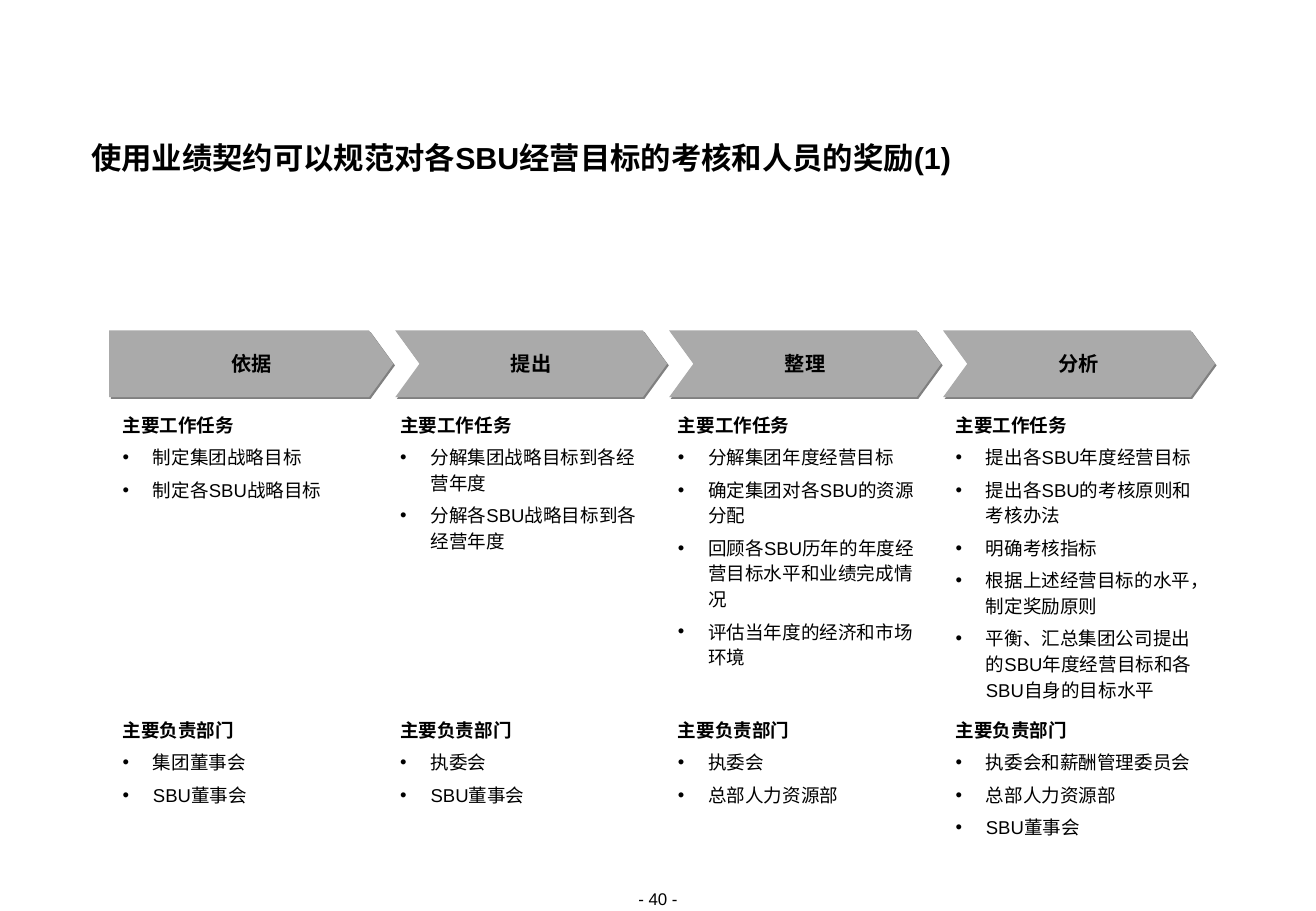
from lxml import etree
from pptx import Presentation, util as u
from pptx.dml.color import RGBColor
from pptx.enum import text as t
from pptx.oxml.ns import qn

TITLE = "使用业绩契约可以规范对各SBU经营目标的考核和人员的奖励(1)"
PAGE = "- 40 -"
TASKS, UNITS = "主要工作任务", "主要负责部门"
STEPS = [
    ("依据",
     ["制定集团战略目标", "制定各SBU战略目标"],
     ["集团董事会", "SBU董事会"]),
    ("提出",
     ["分解集团战略目标到各经营年度", "分解各SBU战略目标到各经营年度"],
     ["执委会", "SBU董事会"]),
    ("整理",
     ["分解集团年度经营目标", "确定集团对各SBU的资源分配",
      "回顾各SBU历年的年度经营目标水平和业绩完成情况",
      "评估当年度的经济和市场环境"],
     ["执委会", "总部人力资源部"]),
    ("分析",
     ["提出各SBU年度经营目标", "提出各SBU的考核原则和考核办法",
      "明确考核指标", "根据上述经营目标的水平，制定奖励原则",
      "平衡、汇总集团公司提出的SBU年度经营目标和各SBU自身的目标水平"],
     ["执委会和薪酬管理委员会", "总部人力资源部", "SBU董事会"]),
]

BLACK = RGBColor(0, 0, 0)
GRAY = RGBColor(0xAA, 0xAA, 0xAA)
SHADE = RGBColor(0x80, 0x80, 0x80)

WIDE, HIGH = 10.84, 7.5
ARROW = {"left": 1.0, "pitch": 2.256, "wide": 2.24, "top": 2.72, "high": 0.55, "tip": 0.2}
LIST = {"left": 1.01, "pitch": 2.287, "wide": 2.08, "high": 0.75}
ROWS = (3.38, 5.89)
INDENT = 0.25

FIT = t.MSO_AUTO_SIZE.SHAPE_TO_FIT_TEXT
FRAME = {"margin_left": 0, "margin_right": 0, "margin_top": 0, "margin_bottom": 0,
         "word_wrap": True, "auto_size": FIT, "vertical_anchor": t.MSO_ANCHOR.TOP}
LEFT, MID = t.PP_ALIGN.LEFT, t.PP_ALIGN.CENTER


def put(obj, vals):
    for key, val in vals.items():
        setattr(obj, key, val)


def place(shape, left, top, wide, high):
    put(shape, dict(zip(("left", "top", "width", "height"),
                        map(u.Inches, (left, top, wide, high)))))


def write(para, words, size, bold=False, **form):
    para.text = words
    put(para, form)
    put(para.font, {"name": "Arial", "size": u.Pt(size), "bold": bold})
    para.font.color.rgb = BLACK


def dent(para, dot):
    props = para._p.get_or_add_pPr()
    props.set("marL", str(u.Inches(INDENT)))
    props.set("indent", str(-u.Inches(INDENT)))
    if dot:
        etree.SubElement(props, qn("a:buFont")).set("typeface", "Arial")
        etree.SubElement(props, qn("a:buChar")).set("char", "•")


def shade(shape):
    shape.shadow.inherit = False
    glow = etree.SubElement(shape._element.spPr.find(qn("a:effectLst")), qn("a:outerShdw"))
    for key, val in {"dist": u.Pt(1.4), "dir": 45 * 60000, "algn": "ctr", "rotWithShape": 0}.items():
        glow.set(key, str(val))
    etree.SubElement(glow, qn("a:srgbClr")).set("val", str(SHADE))


def add_arrow(slide, col, name):
    left = ARROW["left"] + col * ARROW["pitch"]
    right, tip = left + ARROW["wide"], ARROW["tip"]
    top, low = ARROW["top"], ARROW["top"] + ARROW["high"]
    mid = (top + low) / 2
    if col == 0:
        left -= 0.1
    pts = [(left, top), (right - tip, top), (right, mid), (right - tip, low), (left, low)]
    if col:
        pts.append((left + tip, mid))
    pts = [(u.Inches(x), u.Inches(y)) for x, y in pts]
    pen = slide.shapes.build_freeform(*pts[0])
    pen.add_line_segments(pts[1:], close=True)
    arrow = pen.convert_to_shape()
    arrow.fill.solid()
    arrow.fill.fore_color.rgb = GRAY
    arrow.line.fill.background()
    shade(arrow)
    put(arrow.text_frame, {**FRAME, "word_wrap": False, "auto_size": t.MSO_AUTO_SIZE.NONE,
                           "vertical_anchor": t.MSO_ANCHOR.MIDDLE})
    write(arrow.text_frame.paragraphs[0], name, 12, True, alignment=MID, line_spacing=u.Pt(14))


def add_box(slide, *area):
    box = slide.shapes.add_textbox(0, 0, 0, 0)
    place(box, *area)
    put(box.text_frame, FRAME)
    return box.text_frame


def add_list(slide, col, top, head, items):
    left = LIST["left"] + col * LIST["pitch"]
    frame = add_box(slide, left, top, LIST["wide"], LIST["high"])
    for row, words in enumerate([head, *items]):
        para = frame.add_paragraph() if row else frame.paragraphs[0]
        gap = {"space_before": u.Pt(4.1)} if row else {}
        dent(para, row > 0)
        write(para, words, 11, row == 0, line_spacing=1.15, **gap)


def main():
    deck = Presentation()
    put(deck, {"slide_width": u.Inches(WIDE), "slide_height": u.Inches(HIGH)})
    slide = deck.slides.add_slide(deck.slide_layouts[5])
    title = slide.shapes.title
    place(title, 0.75, 1.17, 9.33, 0.28)
    put(title.text_frame, FRAME)
    write(title.text_frame.paragraphs[0], TITLE, 18, True, alignment=LEFT, line_spacing=u.Pt(20))
    for col, (name, tasks, units) in enumerate(STEPS):
        add_arrow(slide, col, name)
        for top, head, items in zip(ROWS, (TASKS, UNITS), (tasks, units)):
            add_list(slide, col, top, head, items)
    page = add_box(slide, 4.85, 7.32, 1.14, 0.17)
    write(page.paragraphs[0], PAGE, 10, alignment=MID)
    deck.save("out.pptx")


if __name__ == "__main__":
    main()
